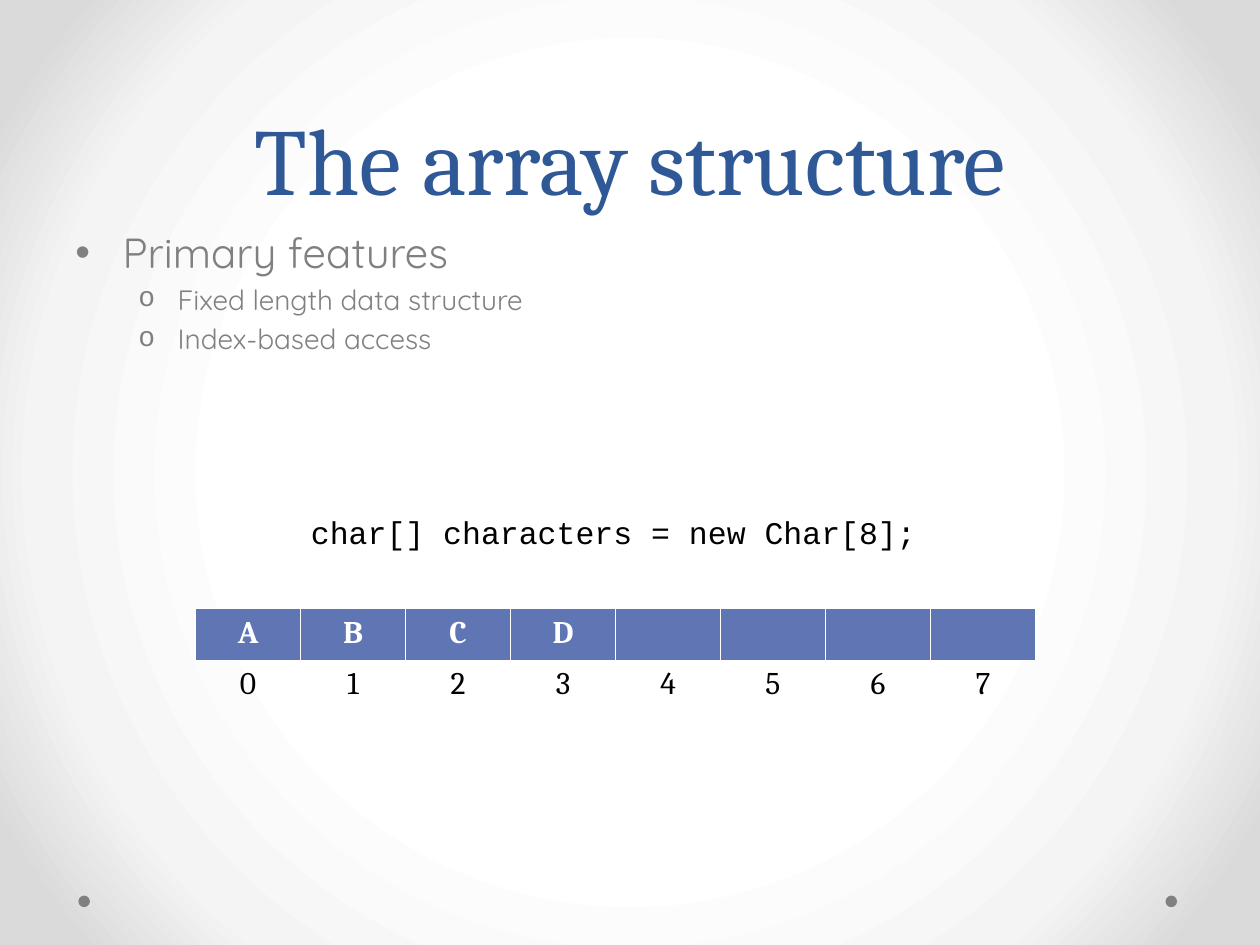
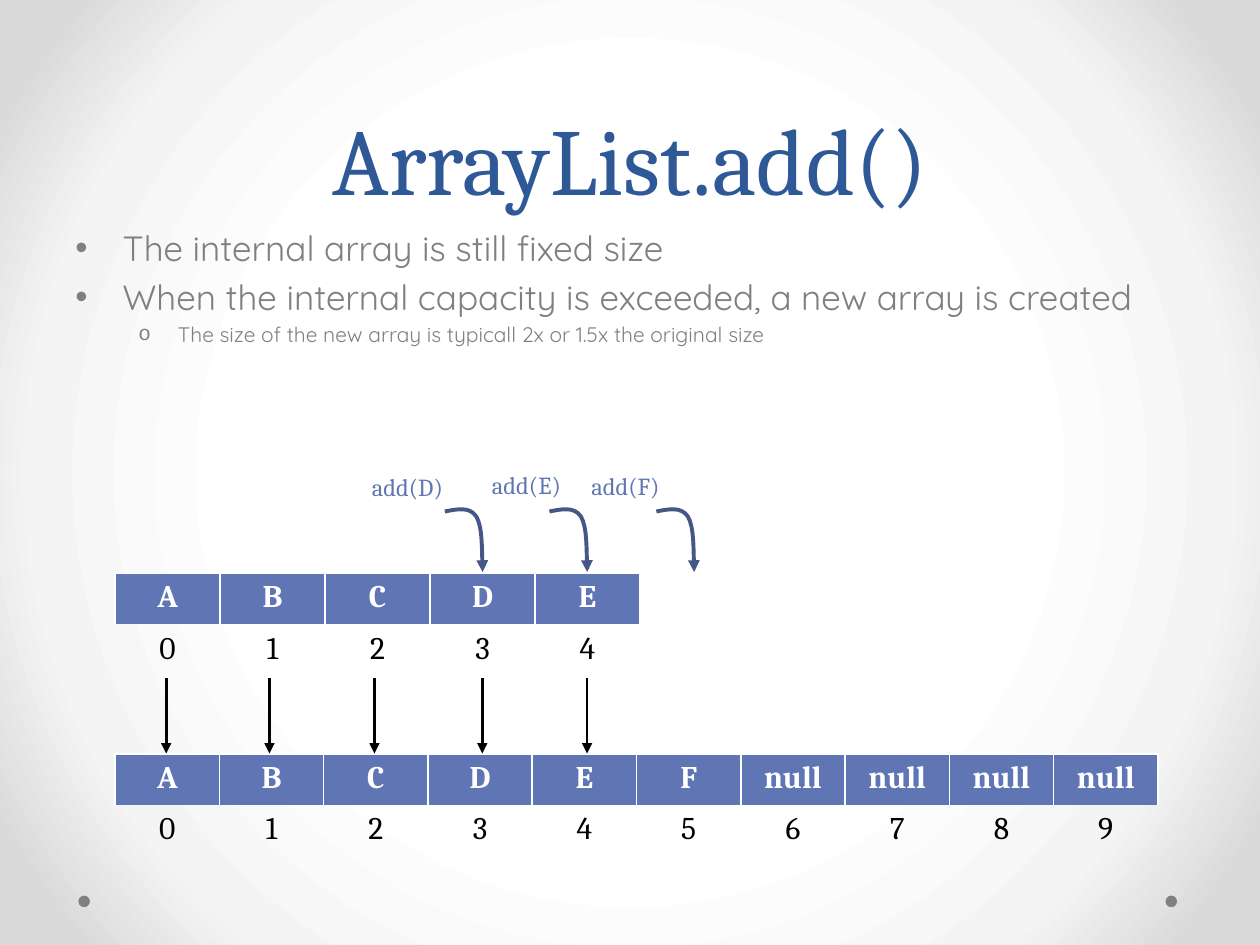
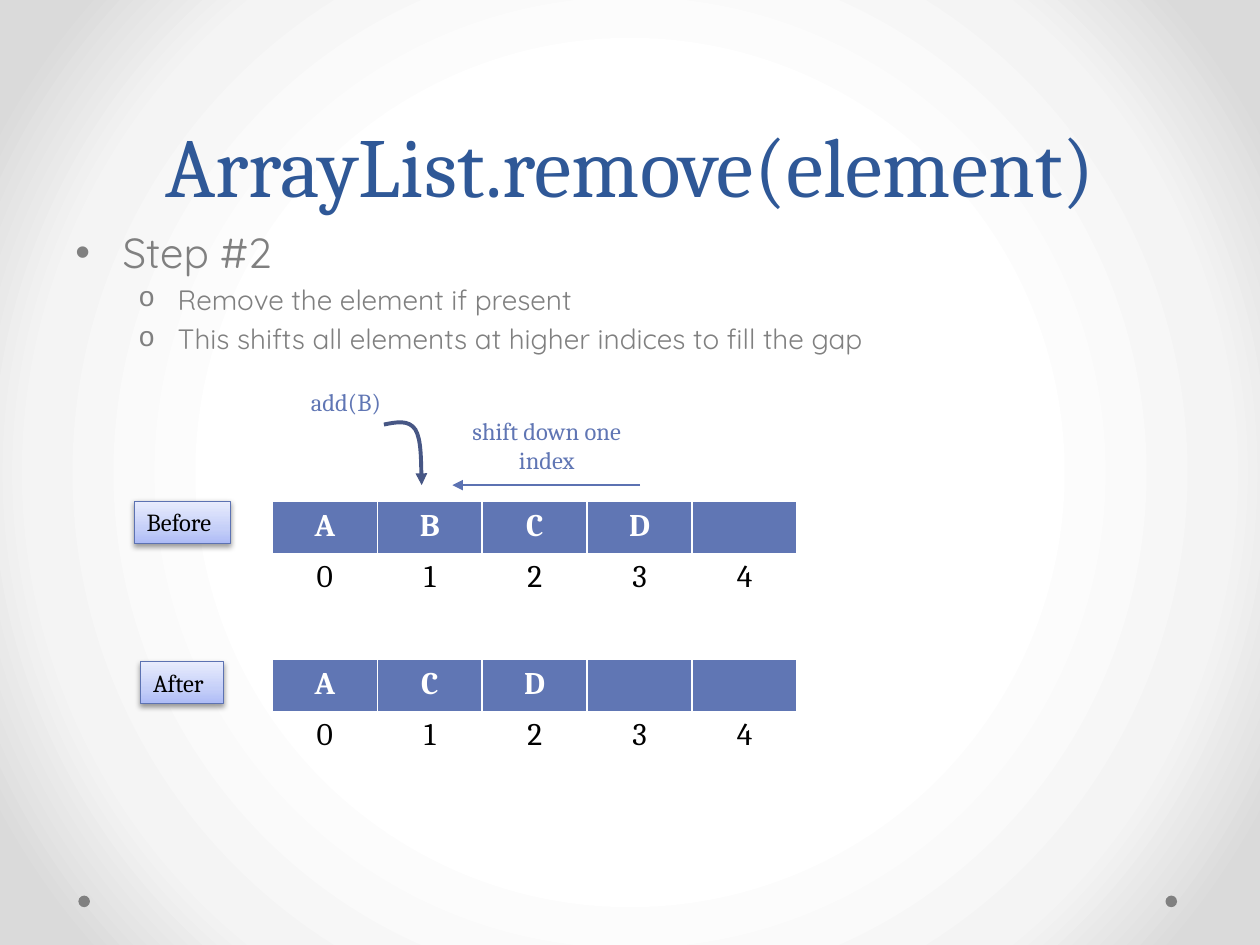
"""Builds three slides on the array structure and on ArrayList operations."""
from pptx import Presentation
from pptx.dml.color import RGBColor
from pptx.enum import shapes, text
from pptx.oxml import ns, xmlchemy
from pptx.util import Pt

TITLE_BLUE = RGBColor(0x2F, 0x58, 0x97)
CELL_BLUE = RGBColor(0x60, 0x76, 0xB4)
EDGE_BLUE = RGBColor(0x5C, 0x72, 0xB2)
HOOK_BLUE = RGBColor(0x47, 0x57, 0x85)
GRAY = RGBColor(0x80, 0x80, 0x80)
BLACK = RGBColor(0, 0, 0)
WHITE = RGBColor(0xFF, 0xFF, 0xFF)
PALE_GRAY = RGBColor(0xF4, 0xF4, 0xF4)
RIM_GRAY = RGBColor(0xDA, 0xDA, 0xDA)
TAG_DARK = RGBColor(0xAD, 0xBB, 0xF6)
TAG_MIDDLE = RGBColor(0xC5, 0xCF, 0xF8)
TAG_LIGHT = RGBColor(0xE8, 0xEC, 0xFD)

SERIF, SANS, MONO = "Cambria", "Quicksand", "Courier New"
CENTER = text.PP_ALIGN.CENTER
CELL_WIDTH, CELL_HEIGHT = 60, 29.2
NO_TABLE_STYLE = "{2D5ABB26-0587-4C30-8999-92F81FD0307C}"
BULLETS = [("\u2022", "Arial", 27, -27), ("o", MONO, 58.5, -22.5)]
HOOK_BENDS = [(7.2, -1.4), (14.2, -2.9), (18, 2.9),
              (21.4, 8.6), (21.6, 34.6), (21.6, 34.6)]


def child(parent, tag, **attributes):
    """Append an XML element with attributes and return it."""
    element = xmlchemy.OxmlElement(tag)
    for key, value in attributes.items():
        element.set(key, str(value))
    parent.append(element)
    return element


def points(values):
    """Turn a sequence of points into lengths."""
    return [Pt(value) for value in values]


def paint_gradient(fill, owner, stops):
    """Give a fill the gradient stops and return its XML, ready for a direction."""
    fill.gradient()
    gradient = owner.find(".//" + ns.qn("a:gradFill"))
    for part in list(gradient):
        gradient.remove(part)
    stop_list = child(gradient, "a:gsLst")
    for position, color in stops:
        stop = child(stop_list, "a:gs", pos=position * 1000)
        child(stop, "a:srgbClr", val=color)
    return gradient


def write(frame, words, size=14, font=SERIF, color=CELL_BLUE, bold=False,
          align=None, spacing=None):
    """Write a paragraph into a frame, after any text already there."""
    paragraph = frame.paragraphs[-1]
    if paragraph.runs:
        paragraph = frame.add_paragraph()
    paragraph.alignment = align
    if spacing:
        paragraph.line_spacing = Pt(spacing)
    run = paragraph.add_run()
    run.text = words
    run.font.size, run.font.name, run.font.bold = Pt(size), font, bold
    run.font.color.rgb = color
    return paragraph


def add_frame(slide, box, wrap=True, anchor=text.MSO_ANCHOR.TOP):
    """Add a text box and return its frame."""
    frame = slide.shapes.add_textbox(*points(box)).text_frame
    frame.word_wrap, frame.vertical_anchor = wrap, anchor
    return frame


def add_bullets(slide, items, sizes):
    """Add the bulleted body; each item is a level and its words."""
    frame = add_frame(slide, (36, 126, 648, 356.4))
    for level, words in items:
        paragraph = write(frame, words, size=sizes[level], font=SANS, color=GRAY)
        paragraph.level = level
        mark, mark_font, margin, indent = BULLETS[level]
        properties = paragraph._p.get_or_add_pPr()
        properties.set("marL", str(Pt(margin)))
        properties.set("indent", str(Pt(indent)))
        child(child(properties, "a:spcBef"), "a:spcPct", val=20000)
        child(properties, "a:buFont", typeface=mark_font)
        child(properties, "a:buChar", char=mark)


def add_array(slide, left, top, values, cell_width=CELL_WIDTH):
    """Add an array as a table of values over their indices."""
    count = len(values)
    size = (cell_width * count, 2 * CELL_HEIGHT)
    table = slide.shapes.add_table(2, count, *points((left, top, *size))).table
    table.first_row = table.horz_banding = False
    table._tbl.tblPr.find(ns.qn("a:tableStyleId")).text = NO_TABLE_STYLE
    for index, value in enumerate(values):
        table.columns[index].width = Pt(cell_width)
        slot, number = table.cell(0, index), table.cell(1, index)
        for side in ("a:lnL", "a:lnR", "a:lnT"):
            border = child(slot._tc.get_or_add_tcPr(), side, w=Pt(1))
            child(child(border, "a:solidFill"), "a:srgbClr", val=WHITE)
        slot.fill.solid()
        slot.fill.fore_color.rgb = CELL_BLUE
        number.fill.background()
        write(slot.text_frame, value, size=18, color=WHITE, bold=True, align=CENTER)
        write(number.text_frame, str(index), size=18, color=BLACK, align=CENTER)


def style_arrow(arrow, color, width):
    """Colour a line and put an arrowhead at its end."""
    arrow.line.color.rgb, arrow.line.width = color, Pt(width)
    child(arrow.line._get_or_add_ln(), "a:tailEnd", type="triangle")


def add_arrow(slide, start, end, color=BLACK):
    """Add a straight arrow."""
    arrow = slide.shapes.add_connector(shapes.MSO_CONNECTOR.STRAIGHT,
                                       *points((*start, *end)))
    style_arrow(arrow, color, 1.5)
    child(arrow._element.spPr, "a:effectLst")


def add_hook(slide, left, top):
    """Add the curved arrow that drops into a cell."""
    builder = slide.shapes.build_freeform(Pt(left), Pt(top))
    builder.add_line_segments([(Pt(left + x), Pt(top + y)) for x, y in HOOK_BENDS],
                              close=False)
    hook = builder.convert_to_shape()
    outline = hook._element.find(".//" + ns.qn("a:path"))
    bends = outline.findall(ns.qn("a:lnTo"))
    for first in range(0, len(bends), 3):
        curve = child(outline, "a:cubicBezTo")
        for bend in bends[first:first + 3]:
            curve.append(bend[0])
            outline.remove(bend)
    hook.fill.background()
    hook.shadow.inherit = False
    style_arrow(hook, HOOK_BLUE, 2.25)


def add_call(slide, words, label_at, hook_at):
    """Add a method call label with its curved arrow."""
    write(add_frame(slide, (*label_at, 57.5, 24.2), wrap=False), words)
    add_hook(slide, *hook_at)


def add_tag(slide, words, box):
    """Add a shaded tag that names the state of an array."""
    tag = slide.shapes.add_shape(shapes.MSO_SHAPE.RECTANGLE, *points(box))
    gradient = paint_gradient(tag.fill, tag._element.spPr,
                              [(0, TAG_DARK), (35, TAG_MIDDLE), (100, TAG_LIGHT)])
    child(gradient, "a:lin", ang=270 * 60000, scaled=0)
    tag.line.color.rgb, tag.line.width = EDGE_BLUE, Pt(0.75)
    tag.shadow.inherit = False
    effects = tag._element.spPr.find(ns.qn("a:effectLst"))
    shadow = child(effects, "a:outerShdw", blurRad=Pt(3.1), dist=Pt(1.6),
                   dir=90 * 60000, rotWithShape=0)
    child(child(shadow, "a:srgbClr", val=BLACK), "a:alpha", val=38000)
    tag.text_frame.word_wrap = False
    tag.text_frame.vertical_anchor = text.MSO_ANCHOR.TOP
    write(tag.text_frame, words, color=BLACK, align=text.PP_ALIGN.LEFT)


def set_background(master):
    """Give every slide the round white glow."""
    gradient = paint_gradient(master.background.fill, master.element,
                              [(50, WHITE), (76, PALE_GRAY), (92, RIM_GRAY)])
    glow = child(gradient, "a:path", path="circle")
    child(glow, "a:fillToRect", l=50000, t=50000, r=50000, b=50000)


def add_slide(deck, title, title_size=54):
    """Add a slide with its footer dots and title."""
    slide = deck.slides.add_slide(deck.slide_layouts[6])
    for left in (666, 44.8):
        dot = slide.shapes.add_shape(shapes.MSO_SHAPE.OVAL,
                                     *points((left, 511.8, 6.6, 6.6)))
        dot.fill.solid()
        dot.fill.fore_color.rgb = GRAY
        dot.line.fill.background()
        dot.shadow.inherit = False
    frame = add_frame(slide, (36, 0, 648, 126), anchor=text.MSO_ANCHOR.BOTTOM)
    write(frame, title, size=title_size, color=TITLE_BLUE, align=CENTER, spacing=58)
    return slide


def build_structure(deck):
    """Build the slide on the plain array."""
    slide = add_slide(deck, "The array structure")
    add_bullets(slide, [(0, "Primary features"),
                        (1, "Fixed length data structure"),
                        (1, "Index-based access")], (24, 16))
    add_array(slide, 111.8, 347.8, [*"ABCD", "", "", "", ""])
    declaration = add_frame(slide, (170.6, 289.4, 362, 29), wrap=False)
    write(declaration, "char[] characters = new Char[8];",
          size=18, font=MONO, color=BLACK)


def build_add(deck):
    """Build the slide on adding past the capacity."""
    slide = add_slide(deck, "ArrayList.add()")
    add_bullets(slide, [
        (0, "The internal array is still fixed size"),
        (0, "When the internal capacity is exceeded, a new array is created"),
        (1, "The size of the new array is typicall 2x or 1.5x the original size"),
    ], (20, 12))
    add_array(slide, 65.8, 327.6, "ABCDE")
    add_array(slide, 65.8, 430.8, [*"ABCDEF", *["null"] * 4], cell_width=59.6)
    for x in (95, 154, 214, 275.6, 335.5):
        add_arrow(slide, (x, 387.4), (x, 430.6))
    add_call(slide, "add(D)", (205.4, 266.4), (254.2, 292.3))
    add_call(slide, "add(E)", (274, 265), (314, 292.3))
    add_call(slide, "add(F)", (330.8, 265.6), (375.1, 292.3))


def build_remove(deck):
    """Build the slide on removing an element."""
    slide = add_slide(deck, "ArrayList.remove(element)", title_size=48)
    add_bullets(slide, [
        (0, "Step #2"),
        (1, "Remove the element if present"),
        (1, "This shifts all elements at higher indices to fill the gap"),
    ], (24, 16))
    add_array(slide, 155.6, 286.6, [*"ABCD", ""])
    add_call(slide, "add(B)", (170.6, 217.4), (219.4, 242.6))
    add_arrow(slide, (365.8, 277.2), (258.5, 277.2), color=EDGE_BLUE)
    shift = add_frame(slide, (258.5, 234, 108, 41), wrap=False)
    for words in ("shift down one", "index"):
        write(shift, words, align=CENTER)
    add_array(slide, 155.6, 376.8, [*"ACD", "", ""])
    add_tag(slide, "Before", (76.8, 286.4, 55, 24.2))
    add_tag(slide, "After", (80.4, 378, 47.4, 24.2))


def main():
    """Build the deck and save it."""
    deck = Presentation()
    deck.slide_width, deck.slide_height = Pt(720), Pt(540)
    set_background(deck.slide_master)
    build_structure(deck)
    build_add(deck)
    build_remove(deck)
    deck.save("out.pptx")


main()
